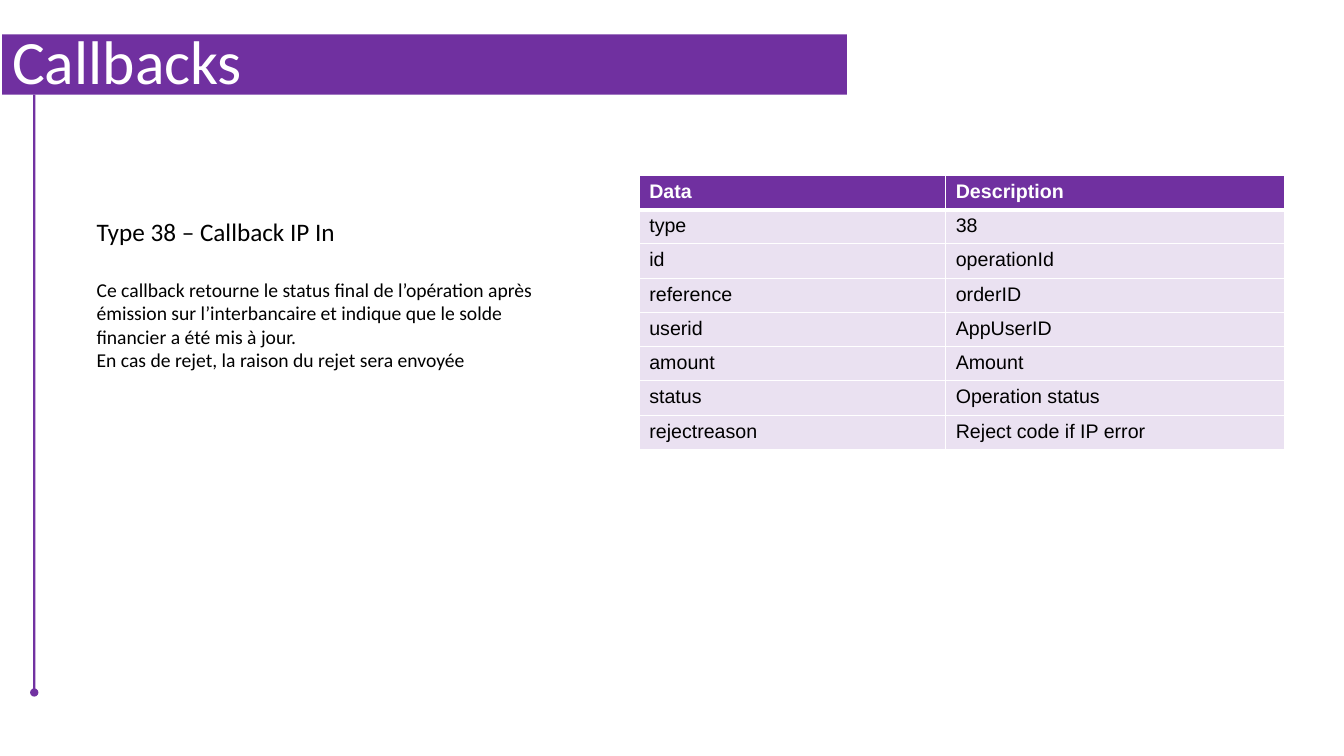
from dataclasses import dataclass

from lxml.etree import SubElement
from pptx import Presentation
from pptx.dml.color import RGBColor
from pptx.enum.shapes import MSO_CONNECTOR
from pptx.enum.text import MSO_ANCHOR, MSO_AUTO_SIZE, PP_ALIGN
from pptx.oxml import parse_xml
from pptx.oxml.ns import nsdecls, qn
from pptx.util import Inches, Pt

TITLE = "Callbacks"
HEADING = "Type 38 – Callback IP In"
DETAILS = [
    "Ce callback retourne le status final de l’opération après émission sur "
    "l’interbancaire et indique que le solde financier a été mis à jour.",
    "En cas de rejet, la raison du rejet sera envoyée",
]
FIELDS = [
    ("Data", "Description"),
    ("type", "38"),
    ("id", "operationId"),
    ("reference", "orderID"),
    ("userid", "AppUserID"),
    ("amount", "Amount"),
    ("status", "Operation status"),
    ("rejectreason", "Reject code if IP error"),
]
TITLE_AREA = (0.02, 0.34, 8.38, 0.6)
RAIL = (0.34, 0.94, 0.34, 6.87)
TEXT_AREA = (0.86, 2.1, 4.57, 1.65)
TABLE_ORIGIN = (6.34, 1.74)
COLUMN_WIDTHS = (3.04, 3.36)
ROW_HEIGHT = 0.34


@dataclass(frozen=True)
class Theme:
    purple: RGBColor = RGBColor(0x70, 0x30, 0xA0)
    white: RGBColor = RGBColor(0xFF, 0xFF, 0xFF)
    black: RGBColor = RGBColor(0, 0, 0)
    text_font: str = "Calibri"
    table_font: str = "Arial"
    title_size: Pt = Pt(44)
    heading_size: Pt = Pt(18)
    body_size: Pt = Pt(14)
    heading_gap: Pt = Pt(22)
    rail_width: Pt = Pt(1.5)
    rail_opacity: int = 98
    row_opacity: int = 14
    border_width: Pt = Pt(1)
    header_border_width: Pt = Pt(3)


THEME = Theme()


def apply(target, values):
    for name, value in values.items():
        setattr(target, name, value)


def write(para, text, size, color, font, bold=False):
    span = para.add_run()
    span.text = text
    apply(span.font, {"size": size, "name": font, "bold": bold})
    span.font.color.rgb = color


def set_opacity(element, percent):
    color = next(element.iter(qn("a:srgbClr")))
    SubElement(color, qn("a:alpha"), val=str(percent * 1000))


def place(shape, area):
    apply(shape, dict(zip(("left", "top", "width", "height"), map(Inches, area))))


def add_title(page):
    box = page.shapes.title
    place(box, TITLE_AREA)
    box.fill.solid()
    box.fill.fore_color.rgb = THEME.purple
    apply(box.text_frame, {
        "vertical_anchor": MSO_ANCHOR.MIDDLE,
        "word_wrap": True,
        "auto_size": MSO_AUTO_SIZE.NONE,
    })
    para = box.text_frame.paragraphs[0]
    apply(para, {"alignment": PP_ALIGN.LEFT, "line_spacing": 0.9})
    write(para, TITLE, THEME.title_size, THEME.white, THEME.text_font)


def add_rail(page):
    rail = page.shapes.add_connector(MSO_CONNECTOR.STRAIGHT, *map(Inches, RAIL))
    rail.line.color.rgb = THEME.purple
    rail.line.width = THEME.rail_width
    properties = rail._element.spPr
    set_opacity(properties, THEME.rail_opacity)
    SubElement(properties.find(qn("a:ln")), qn("a:tailEnd"), type="oval")
    SubElement(properties, qn("a:effectLst"))


def add_explanation(page):
    frame = page.shapes.add_textbox(*map(Inches, TEXT_AREA)).text_frame
    frame.word_wrap = True
    write(frame.paragraphs[0], HEADING, THEME.heading_size, THEME.black, THEME.text_font)
    for index, text in enumerate(DETAILS):
        para = frame.add_paragraph()
        para.space_before = Pt(0) if index else THEME.heading_gap
        write(para, text, THEME.body_size, THEME.black, THEME.text_font)


def add_borders(cell, top_width, bottom_width):
    widths = {
        "lnL": THEME.border_width,
        "lnR": THEME.border_width,
        "lnT": top_width,
        "lnB": bottom_width,
    }
    for index, (side, width) in enumerate(widths.items()):
        border = parse_xml(
            f'<a:{side} {nsdecls("a")} w="{width}"><a:solidFill>'
            f'<a:srgbClr val="{THEME.white}"/></a:solidFill></a:{side}>'
        )
        cell._tc.get_or_add_tcPr().insert(index, border)


def add_fields(page):
    area = (*TABLE_ORIGIN, sum(COLUMN_WIDTHS), ROW_HEIGHT * len(FIELDS))
    table = page.shapes.add_table(
        len(FIELDS), len(COLUMN_WIDTHS), *map(Inches, area)
    ).table
    for column, width in zip(table.columns, COLUMN_WIDTHS):
        column.width = Inches(width)
    for row_index, values in enumerate(FIELDS):
        header = row_index == 0
        table.rows[row_index].height = Inches(ROW_HEIGHT)
        top = THEME.header_border_width if row_index == 1 else THEME.border_width
        bottom = THEME.header_border_width if header else THEME.border_width
        for column_index, text in enumerate(values):
            cell = table.cell(row_index, column_index)
            cell.fill.solid()
            cell.fill.fore_color.rgb = THEME.purple
            if not header:
                set_opacity(cell._tc.tcPr, THEME.row_opacity)
            add_borders(cell, top, bottom)
            color = THEME.white if header else THEME.black
            write(cell.text_frame.paragraphs[0], text, THEME.body_size, color,
                  THEME.table_font, header)


def main():
    deck = Presentation()
    apply(deck, {"slide_width": Inches(13.33), "slide_height": Inches(7.5)})
    page = deck.slides.add_slide(deck.slide_layouts.get_by_name("Title Only"))
    add_rail(page)
    add_title(page)
    add_explanation(page)
    add_fields(page)
    deck.save("out.pptx")


if __name__ == "__main__":
    main()
